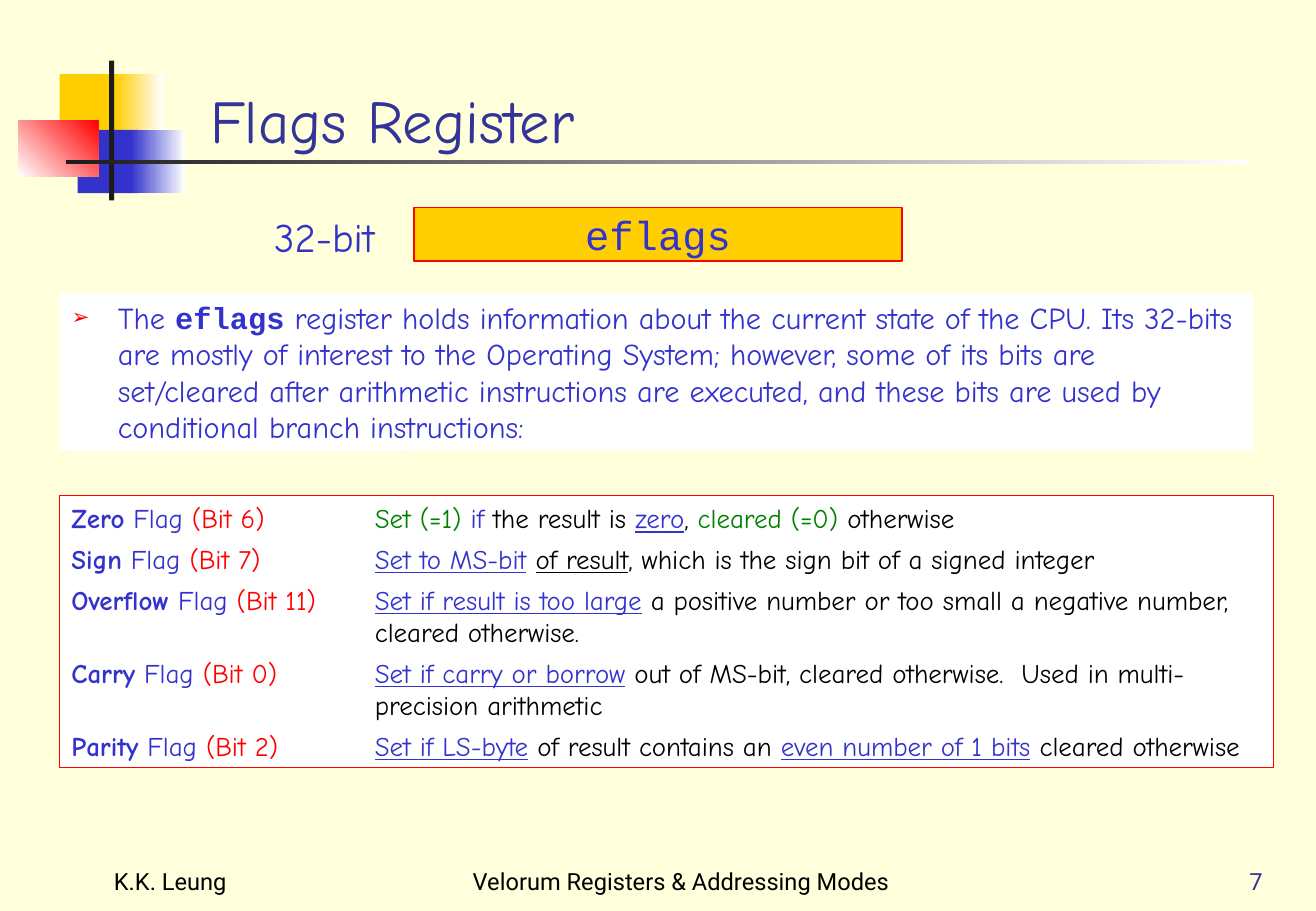
from lxml import etree
from pptx import Presentation
from pptx import util as u
from pptx.dml.color import RGBColor
from pptx.enum import shapes, text
from pptx.oxml.ns import qn

PX = 9144  # 100 px to the inch
COLORS = {
    "cream": "FFFFDB", "white": "FFFFFF", "black": "000000", "ink": "1C1C1C",
    "gold": "FFCF01", "blue": "3333CC", "navy": "333399", "red": "FF0000",
    "green": "008000",
}
HAND, MONO, SANS = "Comic Neue", "Courier New", "Roboto"
ALIGN, ANCHOR = text.PP_ALIGN, text.MSO_ANCHOR

# box, colours (two make a gradient), gradient angle
DECORATION = [
    ((49, 61, 52, 52), ["gold"], 0),
    ((95, 61, 39, 52), ["gold", "white"], 0),
    ((64, 107, 50, 52), ["blue"], 0),
    ((108, 107, 44, 52), ["blue", "white"], 0),
    ((15, 99, 66, 46), ["white", "red"], 45),
    ((90, 50, 4, 115), ["ink"], 0),
    ((54, 132, 975, 3), ["ink", "white"], 0),
]
# flag, bit, description as (text, colour, underlined)
FLAGS = [
    ("Zero", 6, [("Set (=1)", "green", False), (" if ", "blue", False),
                 ("the result is ", "black", False), ("zero", "blue", True),
                 (", ", "black", False), ("cleared (=0)", "green", False),
                 (" otherwise", "black", False)]),
    ("Sign", 7, [("Set to MS-bit", "blue", True), (" ", "black", False),
                 ("of result", "black", True),
                 (", which is the sign bit of a signed integer", "black", False)]),
    ("Overflow", 11, [("Set if result is too large", "blue", True),
                      (" a positive number or too small a negative number, "
                       "cleared otherwise.", "black", False)]),
    ("Carry", 0, [("Set if carry or borrow", "blue", True),
                  (" out of MS-bit, cleared otherwise.  Used in "
                   "multi-precision arithmetic", "black", False)]),
    ("Parity", 2, [("Set if LS-byte", "blue", True),
                   (" of result contains an ", "black", False),
                   ("even number of 1 bits", "blue", True),
                   (" cleared otherwise", "black", False)]),
]
FOOTERS = [
    ((84, 692, 226, 50), "K.K. Leung", "black", ALIGN.LEFT),
    ((362, 692, 398, 50), "Velorum Registers & Addressing Modes", "black", ALIGN.CENTER),
    ((824, 692, 226, 50), "7", "navy", ALIGN.RIGHT),
]


def rgb(name):
    return RGBColor.from_string(COLORS[name])


def set_attrs(obj, **values):
    for name, value in values.items():
        setattr(obj, name, value)


def place(sp, box):
    set_attrs(sp, **dict(zip(("left", "top", "width", "height"),
                             (v * PX for v in box))))


def add_run(p, words, color, size, font=HAND, **style):
    r = p.add_run()
    r.text = words
    set_attrs(r.font, name=font, size=u.Pt(size), **style)
    r.font.color.rgb = rgb(color)


def set_frame(sp, anchor=ANCHOR.TOP, wrap=True, align=ALIGN.LEFT):
    """Format the text frame and give back its first paragraph."""
    tf = sp.text_frame
    set_attrs(tf, auto_size=text.MSO_AUTO_SIZE.NONE, word_wrap=wrap,
              vertical_anchor=anchor,
              margin_left=10 * PX, margin_right=10 * PX,
              margin_top=5 * PX, margin_bottom=5 * PX)
    p = tf.paragraphs[0]
    set_attrs(p, alignment=align, space_before=u.Pt(0))
    return p


def set_hanging(p, indent):
    pPr = p._p.get_or_add_pPr()
    pPr.set("marL", str(indent * PX))
    pPr.set("indent", str(-indent * PX))
    return pPr


def add_bullet(pPr, char, color, percent):
    clr = etree.SubElement(pPr, qn("a:buClr"))
    etree.SubElement(clr, qn("a:srgbClr"), val=COLORS[color])
    etree.SubElement(pPr, qn("a:buSzPct"), val=str(percent * 1000))
    etree.SubElement(pPr, qn("a:buChar"), char=char)


def add_rect(slide, box, colors, angle=0, outline=None):
    sp = slide.shapes.add_shape(shapes.MSO_SHAPE.RECTANGLE, *(v * PX for v in box))
    sp.shadow.inherit = False
    if len(colors) == 1:
        sp.fill.solid()
        sp.fill.fore_color.rgb = rgb(colors[0])
    else:
        sp.fill.gradient()
        sp.fill.gradient_angle = angle
        for stop, color in zip(sp.fill.gradient_stops, colors):
            stop.color.rgb = rgb(color)
    if outline:
        sp.line.color.rgb = rgb(outline)
        sp.line.width = u.Pt(1)
    else:
        sp.line.fill.background()
    return sp


def add_label(slide, box, words, color, size, font, **frame):
    sp = slide.shapes.add_textbox(*(v * PX for v in box))
    add_run(set_frame(sp, **frame), words, color, size, font)


def add_rule(slide, x1, y1, x2, y2, color):
    line = slide.shapes.add_connector(
        shapes.MSO_CONNECTOR.STRAIGHT, *(v * PX for v in (x1, y1, x2, y2)))
    line.line.color.rgb = rgb(color)
    line.line.width = u.Pt(1)
    etree.SubElement(line._element.spPr, qn("a:effectLst"))


def fill_title(sp):
    place(sp, (163, 8, 923, 125))
    add_run(set_frame(sp, anchor=ANCHOR.BOTTOM), "Flags Register", "navy", 36)


def fill_body(sp):
    place(sp, (49, 241, 983, 130))
    sp.fill.solid()
    sp.fill.fore_color.rgb = rgb("white")
    p = set_frame(sp)
    add_bullet(set_hanging(p, 38), "➢", "red", 70)
    add_run(p, "The ", "blue", 18)
    add_run(p, "eflags", "blue", 18, MONO, bold=True)
    add_run(p, " register holds information about the current state of the CPU. "
               "Its 32-bits are mostly of interest to the Operating System; "
               "however, some of its bits are set/cleared after arithmetic "
               "instructions are executed, and these bits are used by "
               "conditional branch instructions:", "blue", 18)


def add_flag_list(slide):
    sp = add_rect(slide, (49, 408, 1000, 224), ["white"], outline="red")
    p = set_frame(sp)
    for i, (flag, bit, description) in enumerate(FLAGS):
        if i:
            p = sp.text_frame.add_paragraph()
        set_attrs(p, alignment=ALIGN.LEFT, space_after=u.Pt(5))
        set_hanging(p, 250)
        add_run(p, flag, "blue", 16, bold=True)
        add_run(p, " Flag ", "blue", 16)
        add_run(p, f"(Bit {bit})\t", "red", 16)
        for words, color, underline in description:
            add_run(p, words, color, 16, underline=underline)


def main():
    prs = Presentation()
    set_attrs(prs, slide_width=1084 * PX, slide_height=750 * PX)
    slide = prs.slides.add_slide(prs.slide_layouts[1])
    slide.background.fill.solid()
    slide.background.fill.fore_color.rgb = rgb("cream")

    for box, colors, angle in DECORATION:
        add_rect(slide, box, colors, angle)
    fill_title(slide.shapes.title)
    fill_body(slide.placeholders[1])
    add_rule(slide, 58, 375, 333, 375, "white")

    add_label(slide, (216, 170, 102, 50), "32-bit", "blue", 24, HAND, wrap=False)
    register = add_rect(slide, (341, 171, 402, 44), ["gold"], outline="red")
    p = set_frame(register, ANCHOR.MIDDLE, wrap=False, align=ALIGN.CENTER)
    add_run(p, "eflags", "blue", 24, MONO)

    add_flag_list(slide)
    for box, words, color, align in FOOTERS:
        add_label(slide, box, words, color, 14, SANS,
                  anchor=ANCHOR.BOTTOM, align=align)
    prs.save("out.pptx")


if __name__ == "__main__":
    main()
